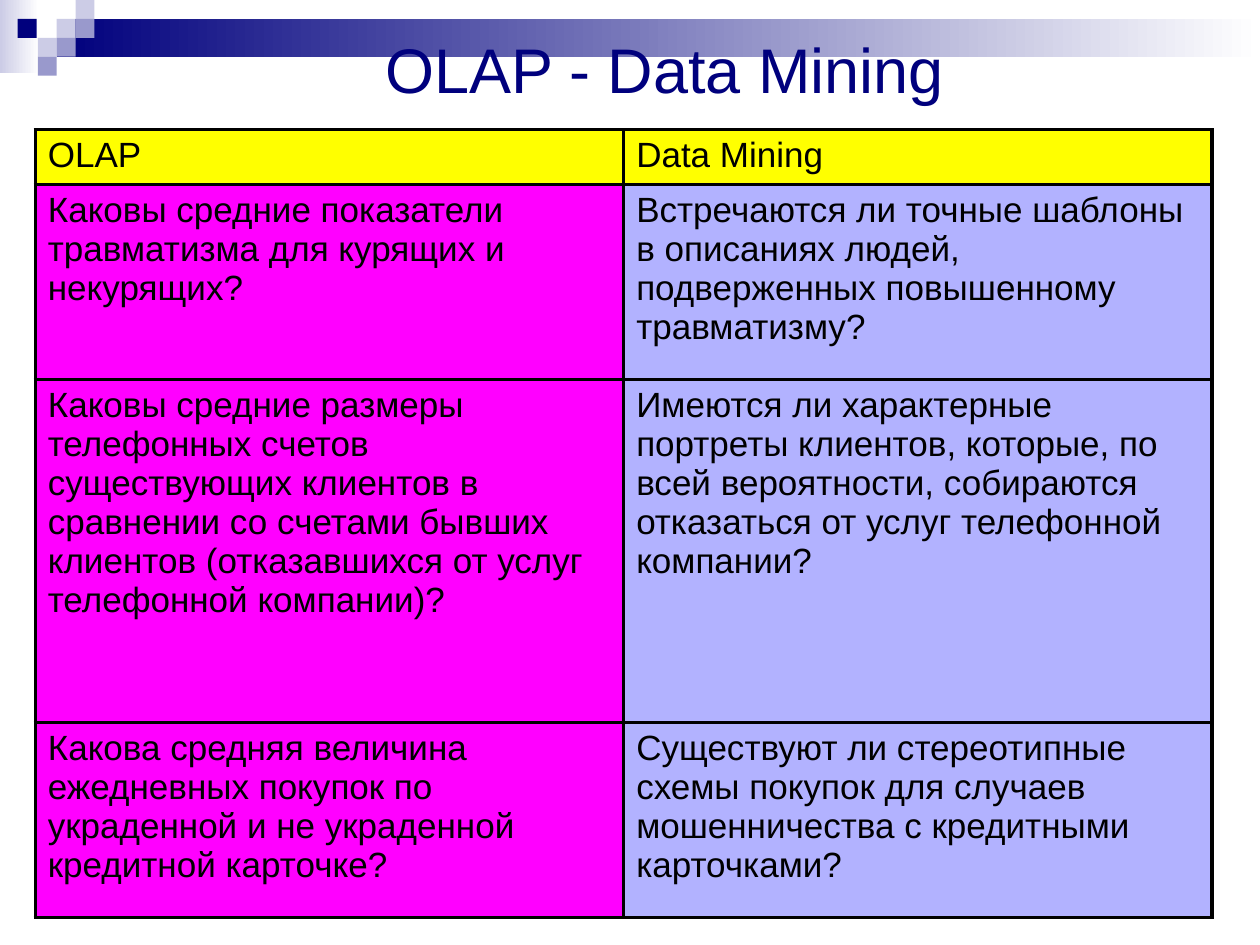
from lxml import etree
from pptx import Presentation
from pptx.dml.color import RGBColor
from pptx.enum.shapes import MSO_SHAPE
from pptx.enum.text import MSO_ANCHOR, PP_ALIGN
from pptx.oxml.ns import qn
from pptx.util import Inches, Pt

RECT = MSO_SHAPE.RECTANGLE
MIDDLE = MSO_ANCHOR.MIDDLE
CENTER = PP_ALIGN.CENTER

NAVY, MID, PALE, WHITE, BLACK = "00007D", "9999CC", "CCCCE6", "FFFFFF", "000000"
HEADER_FILL = "FFFF00"
COLUMN_FILLS = ["FF00FF", "B2B2FF"]

SQUARE = 0.15
SQUARES = [
    (0.45, 0.15, PALE),
    (0.6, 0, PALE),
    (0.6, 0.15, MID),
    (0.3, 0.3, PALE),
    (0.14, 0.15, NAVY),
    (0.45, 0.3, MID),
    (0.3, 0.45, MID),
]

COLUMN_WIDTH = 4.67
ROW_HEIGHTS = [0.41, 1.55, 2.72, 1.55]
ROWS = [
    ("OLAP", "Data Mining"),
    ("Каковы средние показатели травматизма для курящих и некурящих?",
     "Встречаются ли точные шаблоны в описаниях людей, подверженных "
     "повышенному травматизму?"),
    ("Каковы средние размеры телефонных счетов существующих клиентов в "
     "сравнении со счетами бывших клиентов (отказавшихся от услуг "
     "телефонной компании)?",
     "Имеются ли характерные портреты клиентов, которые, по всей "
     "вероятности, собираются отказаться от услуг телефонной компании?"),
    ("Какова средняя величина ежедневных покупок по украденной и не "
     "украденной кредитной карточке?",
     "Существуют ли стереотипные схемы покупок для случаев мошенничества "
     "с кредитными карточками?"),
]


def rgb(color):
    return RGBColor.from_string(color)


def set_text(tf, text, size, color):
    p = tf.paragraphs[0]
    r = p.add_run()
    r.text = text
    for name, value in {"name": "Arial", "size": Pt(size), "bold": False}.items():
        setattr(r.font, name, value)
    r.font.color.rgb = rgb(color)
    return p


def add_rect(slide, left, top, width, height, *colors):
    """One colour gives a solid fill, two a left-to-right gradient."""
    sp = slide.shapes.add_shape(
        RECT, Inches(left), Inches(top), Inches(width), Inches(height))
    sp.shadow.inherit = False
    sp.line.fill.background()
    if len(colors) == 1:
        sp.fill.solid()
        sp.fill.fore_color.rgb = rgb(colors[0])
    else:
        sp.fill.gradient()
        sp.fill.gradient_angle = 0
        for stop, color in zip(sp.fill.gradient_stops, colors):
            stop.color.rgb = rgb(color)


def add_title(slide, text):
    tf = slide.shapes.add_textbox(
        Inches(1.03), Inches(0.1), Inches(8.49), Inches(0.88)).text_frame
    tf.word_wrap = True
    tf.vertical_anchor = MIDDLE
    set_text(tf, text, 36, NAVY).alignment = CENTER


def set_borders(cell, color, width):
    """Borders must precede the fill in the cell properties."""
    tc_pr = cell._tc.get_or_add_tcPr()
    for i, side in enumerate(("a:lnL", "a:lnR", "a:lnT", "a:lnB")):
        ln = etree.Element(qn(side), w=str(Pt(width)))
        fill = etree.SubElement(ln, qn("a:solidFill"))
        etree.SubElement(fill, qn("a:srgbClr"), val=color)
        tc_pr.insert(i, ln)


def add_comparison_table(slide):
    columns = len(COLUMN_FILLS)
    table = slide.shapes.add_table(
        len(ROWS), columns, Inches(0.28), Inches(1.03),
        Inches(COLUMN_WIDTH * columns), Inches(sum(ROW_HEIGHTS))).table
    for column in table.columns:
        column.width = Inches(COLUMN_WIDTH)
    for i, (texts, height) in enumerate(zip(ROWS, ROW_HEIGHTS)):
        table.rows[i].height = Inches(height)
        for j, text in enumerate(texts):
            cell = table.cell(i, j)
            set_text(cell.text_frame, text, 20, BLACK)
            cell.fill.solid()
            cell.fill.fore_color.rgb = rgb(COLUMN_FILLS[j] if i else HEADER_FILL)
            set_borders(cell, BLACK, 2.25)


def main():
    prs = Presentation()
    prs.slide_width, prs.slide_height = Inches(10), Inches(7.5)
    slide = prs.slides.add_slide(prs.slide_layouts[6])
    add_rect(slide, 0, 0, 0.31, 0.58, PALE, WHITE)
    add_rect(slide, 0.45, 0.15, 9.55, 0.3, NAVY, WHITE)
    for left, top, color in SQUARES:
        add_rect(slide, left, top, SQUARE, SQUARE, color)
    add_title(slide, "OLAP - Data Mining")
    add_comparison_table(slide)
    prs.save("out.pptx")


if __name__ == "__main__":
    main()
